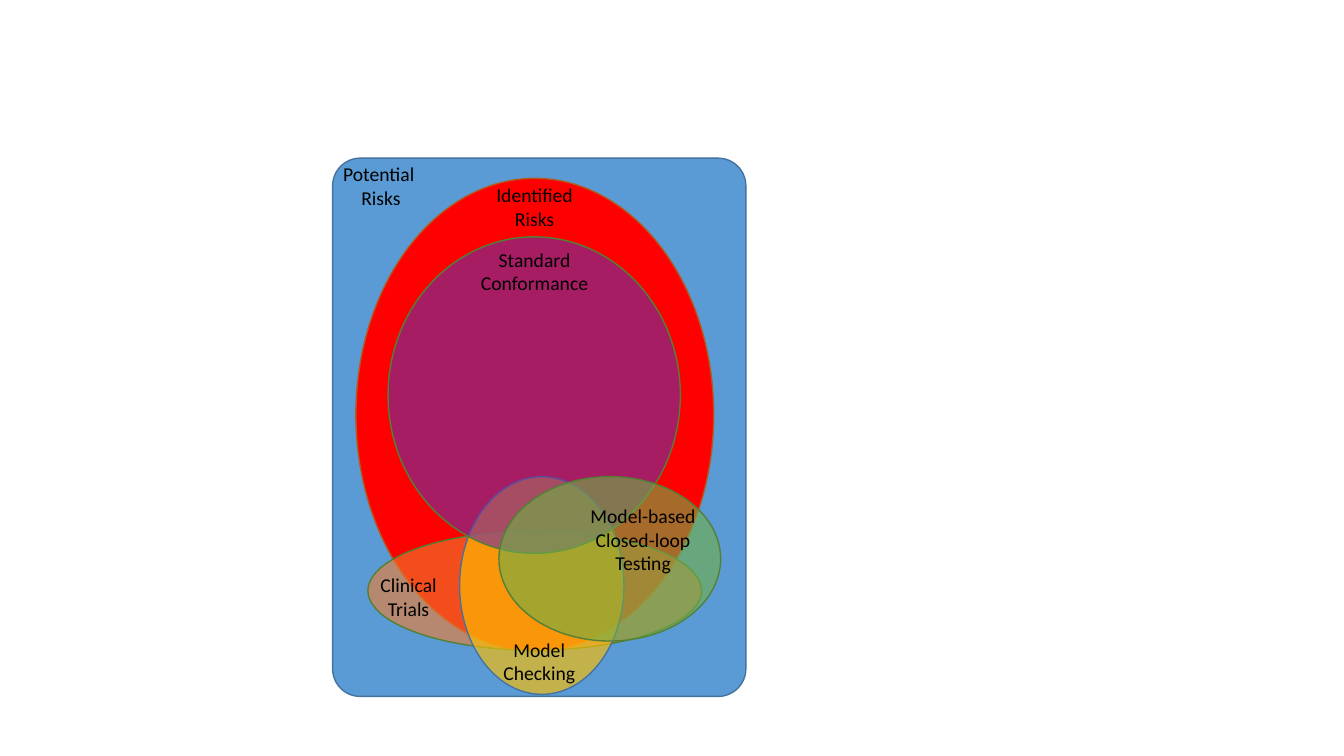
from pptx import Presentation
from pptx.dml.color import RGBColor
from pptx.enum.shapes import MSO_SHAPE
from pptx.enum.text import MSO_AUTO_SIZE, PP_ALIGN
from pptx.oxml.ns import qn
from pptx.util import Pt
from lxml import etree

ROUNDED = MSO_SHAPE.ROUNDED_RECTANGLE
OVAL = MSO_SHAPE.OVAL
CENTER = PP_ALIGN.CENTER
FIT_SHAPE = MSO_AUTO_SIZE.SHAPE_TO_FIT_TEXT

RISK_BOX = (237.6, 113, 295.2, 384.5)
BLUE_EDGE = "43739E"
GREEN_EDGE = "538035"

REGIONS = [
    (ROUNDED, (0, 0, 295.2, 384.5), "5B9BD5", 100, BLUE_EDGE,
     "Potential \nRisks", (0, -0.7, 69.1, 41)),
    (OVAL, (16.6, 14.4, 255.6, 337.7), "FF0000", 100, "AF5C24",
     "Identified\nRisks", (109.4, 14.4, 69.8, 41)),
    (OVAL, (25.2, 266.4, 238.3, 85), "ED7D31", 62, GREEN_EDGE,
     "Clinical\nTrials", (26.6, 293, 55.4, 41)),
    (OVAL, (90.7, 227.5, 117.4, 155.5), "FFC000", 64, BLUE_EDGE,
     "Model\nChecking", (114.5, 339.1, 66.2, 41)),
    (OVAL, (39.6, 56.2, 208.8, 226.1), "7030A0", 62, GREEN_EDGE,
     "Standard\nConformance", (98.6, 60.5, 91.4, 41)),
    (OVAL, (118.8, 227.5, 158.4, 117.4), "70AD47", 62, GREEN_EDGE,
     "Model-based\nClosed-loop\nTesting", (176.4, 243.4, 90.7, 58.3)),
]


def color(value):
    return RGBColor.from_string(value)


def place(box, offset):
    left, top = box[:2]
    across, down, width, height = offset
    return Pt(left + across), Pt(top + down), Pt(width), Pt(height)


def add_region(slide, box, kind, offset, fill, opacity, edge):
    region = slide.shapes.add_shape(kind, *place(box, offset))
    region.shadow.inherit = False
    region.fill.solid()
    region.fill.fore_color.rgb = color(fill)
    region.line.color.rgb = color(edge)
    region.line.width = Pt(1)
    if kind == ROUNDED:
        region.adjustments[0] = 0.067
    if opacity < 100:
        tint = region.fill._xPr.find(qn("a:solidFill"))[0]
        etree.SubElement(tint, qn("a:alpha")).set("val", str(opacity * 1000))


def add_label(slide, box, text, offset):
    label = slide.shapes.add_textbox(*place(box, offset))
    frame = label.text_frame
    frame.text = text
    frame.word_wrap = False
    frame.auto_size = FIT_SHAPE
    for para in frame.paragraphs:
        para.alignment = CENTER
        for span in para.runs:
            span.font.name = "Calibri"
            span.font.size = Pt(14)
            span.font.color.rgb = color("000000")


def add_risk_diagram(slide, box):
    for kind, area, fill, opacity, edge, text, text_area in REGIONS:
        add_region(slide, box, kind, area, fill, opacity, edge)
        add_label(slide, box, text, text_area)


def main():
    deck = Presentation()
    deck.slide_width = Pt(960)
    deck.slide_height = Pt(540)
    slide = deck.slides.add_slide(deck.slide_layouts[6])
    add_risk_diagram(slide, RISK_BOX)
    deck.save("out.pptx")


if __name__ == "__main__":
    main()
